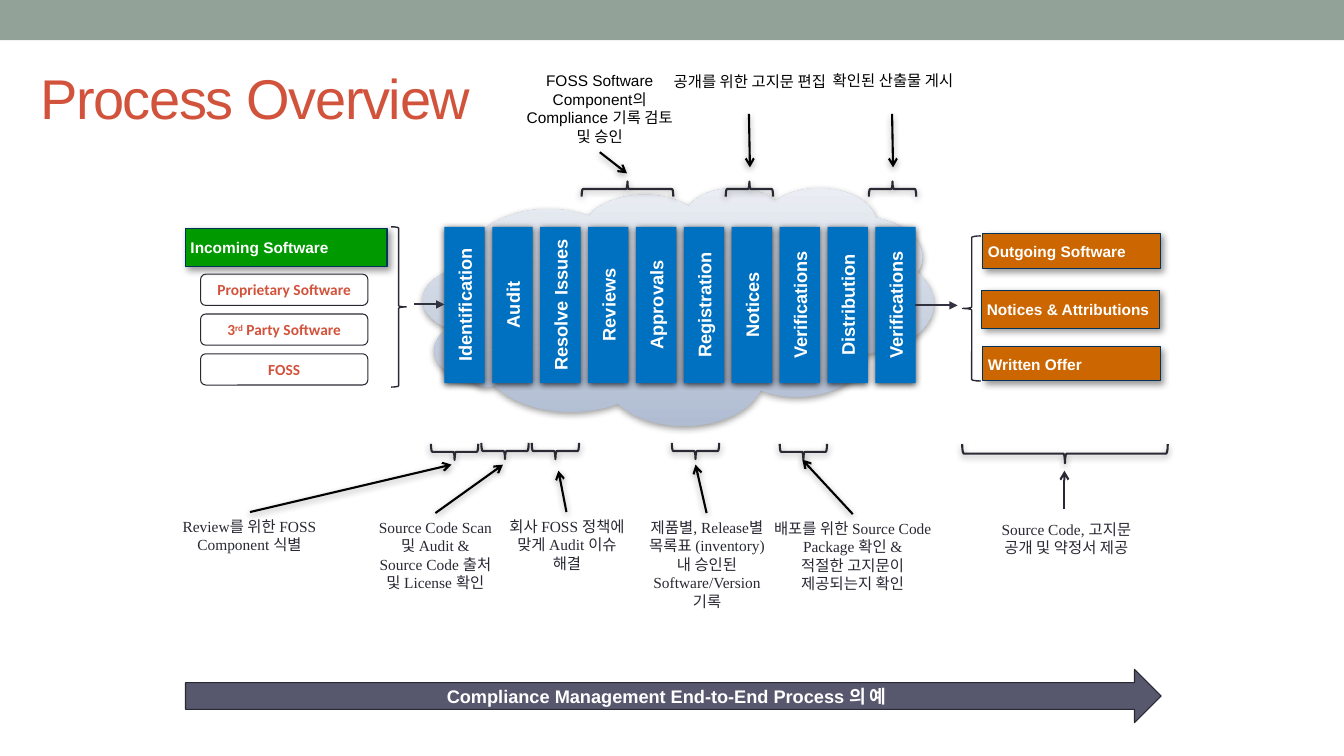
"""Build the Process Overview slide on a grid of 80 columns by 45 rows."""
from lxml.etree import SubElement
from pptx import Presentation
from pptx.dml.color import RGBColor
from pptx.enum.shapes import MSO_CONNECTOR, MSO_SHAPE
from pptx.enum.text import MSO_ANCHOR, PP_ALIGN
from pptx.oxml.ns import qn
from pptx.util import Inches, Pt

CELL = Inches(1) / 6
COLUMNS, ROWS = 80, 45

WHITE = RGBColor(0xFF, 0xFF, 0xFF)
BLACK = RGBColor(0x00, 0x00, 0x00)
SAGE = RGBColor(0x93, 0xA2, 0x99)
RED = RGBColor(0xD2, 0x53, 0x3C)
INK = RGBColor(0x29, 0x29, 0x34)
FLOW = RGBColor(0x32, 0x32, 0x40)
NAVY = RGBColor(0x00, 0x33, 0x59)
GREEN = RGBColor(0x00, 0x99, 0x00)
ORANGE = RGBColor(0xCC, 0x66, 0x00)
BLUE = RGBColor(0x00, 0x70, 0xC0)
SLATE = RGBColor(0x57, 0x57, 0x6E)
CLOUD_LOW = RGBColor(0xB0, 0xBC, 0xD2)
CLOUD_HIGH = RGBColor(0xEA, 0xED, 0xF3)

TITLE = {"size": Pt(40), "name": "Arial"}
HEADING = {"size": Pt(13), "name": "Arial", "bold": True}
LABEL = {"size": Pt(11), "name": "Arial", "bold": True}
SOURCE_LABEL = {"size": Pt(11), "name": "Calibri", "bold": True}
UPPER_NOTE = {"size": Pt(11), "name": "Arial"}
LOWER_NOTE = {"size": Pt(11), "name": "Times New Roman"}

SOFT = (38, 1.6, 90)
STRONG = (75, 1, 90)
DIAGONAL = (40, 3, 45)

STEPS = ["Identification", "Audit", "Resolve Issues", "Reviews", "Approvals",
         "Registration", "Notices", "Verifications", "Distribution", "Verifications"]
SOURCES = ["Proprietary Software", "3^rd^ Party Software", "FOSS"]
BOXES = [
    ("Incoming Software", GREEN, (11.04, 13.6, 12, 2.28)),
    ("Outgoing Software", ORANGE, (58.5, 13.9, 10.56, 2.1)),
    ("Notices & Attributions", ORANGE, (58.44, 17.28, 10.56, 2.28)),
    ("Written Offer", ORANGE, (58.5, 20.64, 10.56, 2.04)),
]
LOWER_NOTES = [
    ("Review를 위한 FOSS Component 식별", (9.9, 30.48, 9.9, 2.82)),
    ("Source Code Scan 및 Audit &\nSource Code 출처 및 License 확인", (21.9, 30.54, 8.04, 5.04)),
    ("회사 FOSS 정책에 맞게 Audit 이슈 해결", (29.7, 30.48, 8.1, 3.96)),
    ("제품별, Release별 목록표 (inventory) 내 승인된 Software/Version 기록",
     (37.8, 30.54, 8.58, 6.18)),
    ("배포를 위한 Source Code Package 확인 &\n적절한 고지문이 제공되는지 확인",
     (45.48, 30.6, 10.56, 5.04)),
    ("Source Code, 고지문 공개 및 약정서 제공", (58.2, 30.66, 10.56, 2.82)),
]
UPPER_NOTES = [
    ("FOSS Software Component의 Compliance 기록 검토 및 승인", (30.54, 3.96, 10.32, 5.04)),
    ("공개를 위한 고지문 편집", (39.48, 4.02, 10.32, 2.94)),
    ("확인된 산출물 게시", (48, 3.96, 10.32, 1.74)),
]
LOWER_BRACES = [(27.06, 26.9, 2.82, 0.96), (30.06, 26.85, 2.82, 0.96),
                (33.06, 26.85, 2.82, 0.96), (41.4, 26.85, 2.82, 0.96),
                (47.82, 26.9, 2.82, 0.96), (63.39, 27, 12.24, 1.14)]
UPPER_BRACES = [(37.35, 11.25, 5.46, 0.9), (44.61, 11.25, 2.82, 0.9),
                (53.13, 11.25, 2.82, 0.9)]
NOTE_ARROWS = [(14.88, 30.48, 26.88, 27.66), (25.92, 30.54, 29.94, 27.66),
               (33.72, 30.48, 33.24, 28.02), (42.06, 30.54, 41.4, 27.66),
               (50.76, 30.6, 47.76, 27.36), (35.7, 9.06, 37.32, 10.32),
               (44.58, 6.78, 44.64, 9.96), (53.1, 6.78, 53.16, 9.96)]
FLOW_ARROWS = [(24.66, 18.12, 26.46, 18.12), (54.48, 18.18, 57, 18.18)]


def cells(*lengths):
    """Turn grid cells into slide lengths."""
    return [round(length * CELL) for length in lengths]


def add_shadow(effects, opacity, distance, direction):
    """Put an outer shadow into an effect list."""
    shadow = SubElement(effects, qn("a:outerShdw"), blurRad=str(Pt(5)),
                        dist=str(Pt(distance)), dir=str(direction * 60000),
                        algn="ctr", rotWithShape="0")
    color = SubElement(shadow, qn("a:srgbClr"), val="000000")
    SubElement(color, qn("a:alpha"), val=str(opacity * 1000))


def add_block(slide, kind, area, fill=None, line=None, width=0.75, shadow=None):
    """Add a preset shape with its fill, line and shadow."""
    shape = slide.shapes.add_shape(kind, *cells(*area))
    if fill is None:
        shape.fill.background()
    else:
        shape.fill.solid()
        shape.fill.fore_color.rgb = fill
    if line is None:
        shape.line.fill.background()
    else:
        shape.line.color.rgb = line
        shape.line.width = Pt(width)
    shape.shadow.inherit = False
    if shadow:
        add_shadow(shape._element.spPr.find(qn("a:effectLst")), *shadow)
    return shape


def write(shape, text, style, color, align=PP_ALIGN.CENTER, inset=0.09):
    """Write paragraphs, raising the parts between carets."""
    frame = shape.text_frame
    layout = {"word_wrap": True, "margin_left": Inches(inset), "margin_right": Inches(inset),
              "margin_top": Inches(0.05), "margin_bottom": Inches(0.05)}
    for name, value in layout.items():
        setattr(frame, name, value)
    for number, content in enumerate(text.split("\n")):
        paragraph = frame.add_paragraph() if number else frame.paragraphs[0]
        paragraph.alignment = align
        for position, part in enumerate(content.split("^")):
            run = paragraph.add_run()
            run.text = part
            for name, value in style.items():
                setattr(run.font, name, value)
            run.font.color.rgb = color
            if position % 2:
                run._r.get_or_add_rPr().set("baseline", "30000")


def add_note(slide, text, area, style, color, align=PP_ALIGN.CENTER):
    """Add a wrapped text box anchored at its top."""
    box = slide.shapes.add_textbox(*cells(*area))
    write(box, text, style, color, align, 0.1)
    box.text_frame.vertical_anchor = MSO_ANCHOR.TOP
    return box


def add_brace(slide, center, rotation, width=1.5, shadow=None):
    """Add a brace given by its middle, span and depth."""
    x, y, span, depth = center
    brace = add_block(slide, MSO_SHAPE.RIGHT_BRACE, (x - depth / 2, y - span / 2, depth, span),
                      line=INK, width=width, shadow=shadow)
    brace.rotation = rotation


def add_arrow(slide, ends, color, head, shadow=None):
    """Add a straight arrow between two grid points."""
    arrow = slide.shapes.add_connector(MSO_CONNECTOR.STRAIGHT, *cells(*ends))
    arrow.line.color.rgb = color
    arrow.line.width = Pt(1.5)
    SubElement(arrow.line._get_or_add_ln(), qn("a:tailEnd"), type=head)
    effects = SubElement(arrow._element.spPr, qn("a:effectLst"))
    if shadow:
        add_shadow(effects, *shadow)


def add_cloud(slide):
    """Add the shaded cloud behind the process steps."""
    cloud = add_block(slide, MSO_SHAPE.CLOUD_CALLOUT, (25.2, 11.16, 30.36, 14.16), shadow=SOFT)
    cloud.adjustments[0], cloud.adjustments[1] = -0.277, 0.189
    cloud.fill.gradient()
    cloud.fill.gradient_angle = 90
    for stop, color in zip(cloud.fill.gradient_stops, (CLOUD_LOW, CLOUD_HIGH)):
        stop.color.rgb = color


def add_step(slide, number, text):
    """Add one process bar with text that reads upwards."""
    bar = add_block(slide, MSO_SHAPE.RECTANGLE, (26.46 + 2.85 * number, 13.5, 2.4, 9.3),
                    BLUE, shadow=STRONG)
    write(bar, text, HEADING, WHITE)
    bar.text_frame._txBody.bodyPr.set("vert", "vert270")


def main():
    """Build and save the slide."""
    presentation = Presentation()
    presentation.slide_width, presentation.slide_height = cells(COLUMNS, ROWS)
    slide = presentation.slides.add_slide(presentation.slide_layouts[6])
    add_block(slide, MSO_SHAPE.RECTANGLE, (0, 0, COLUMNS, 2.4), SAGE)
    title = add_note(slide, "Process Overview", (1.8, 3.5, 72, 6.48), TITLE, RED, PP_ALIGN.LEFT)
    title.text_frame.paragraphs[0].runs[0]._r.get_or_add_rPr().set("spc", "-100")
    add_cloud(slide)
    for number, text in enumerate(STEPS):
        add_step(slide, number, text)
    for text, fill, area in BOXES:
        box = add_block(slide, MSO_SHAPE.RECTANGLE, area, fill, NAVY, shadow=DIAGONAL)
        write(box, text, LABEL, WHITE, PP_ALIGN.LEFT, 0.05)
    for number, text in enumerate(SOURCES):
        source = add_block(slide, MSO_SHAPE.ROUNDED_RECTANGLE,
                           (11.94, 16.32 + 2.37 * number, 9.96, 1.86), line=INK)
        write(source, text, SOURCE_LABEL, RED)
    for text, area in LOWER_NOTES:
        add_note(slide, text, area, LOWER_NOTE, INK)
    for text, area in UPPER_NOTES:
        add_note(slide, text, area, UPPER_NOTE, BLACK)
    for center in LOWER_BRACES:
        add_brace(slide, center, 90, shadow=SOFT)
    for center in UPPER_BRACES:
        add_brace(slide, center, 270, shadow=SOFT)
    add_brace(slide, (23.73, 18.27, 9.54, 0.9), 0, 1)
    add_brace(slide, (57.84, 18.36, 8.64, 1.08), 180, 1)
    for ends in FLOW_ARROWS:
        add_arrow(slide, ends, FLOW, "triangle")
    for ends in NOTE_ARROWS:
        add_arrow(slide, ends, BLACK, "arrow", SOFT)
    add_arrow(slide, (63.36, 30.3, 63.36, 28.02), INK, "arrow")
    banner = add_block(slide, MSO_SHAPE.RIGHT_ARROW, (11.04, 39.84, 58.08, 3.18), SLATE, INK)
    write(banner, "Compliance Management End-to-End Process 의 예", HEADING, WHITE)
    presentation.save("out.pptx")


if __name__ == "__main__":
    main()
